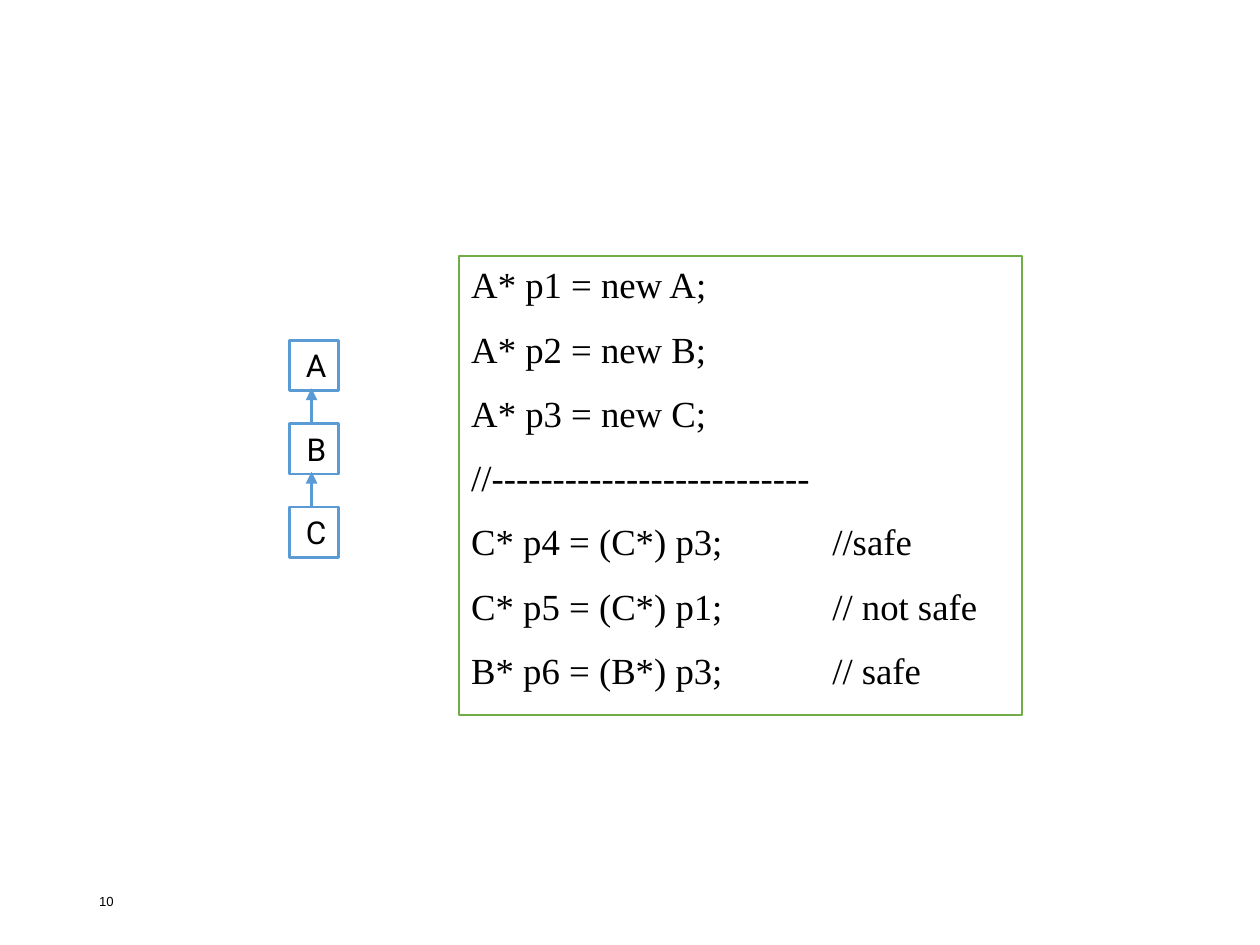
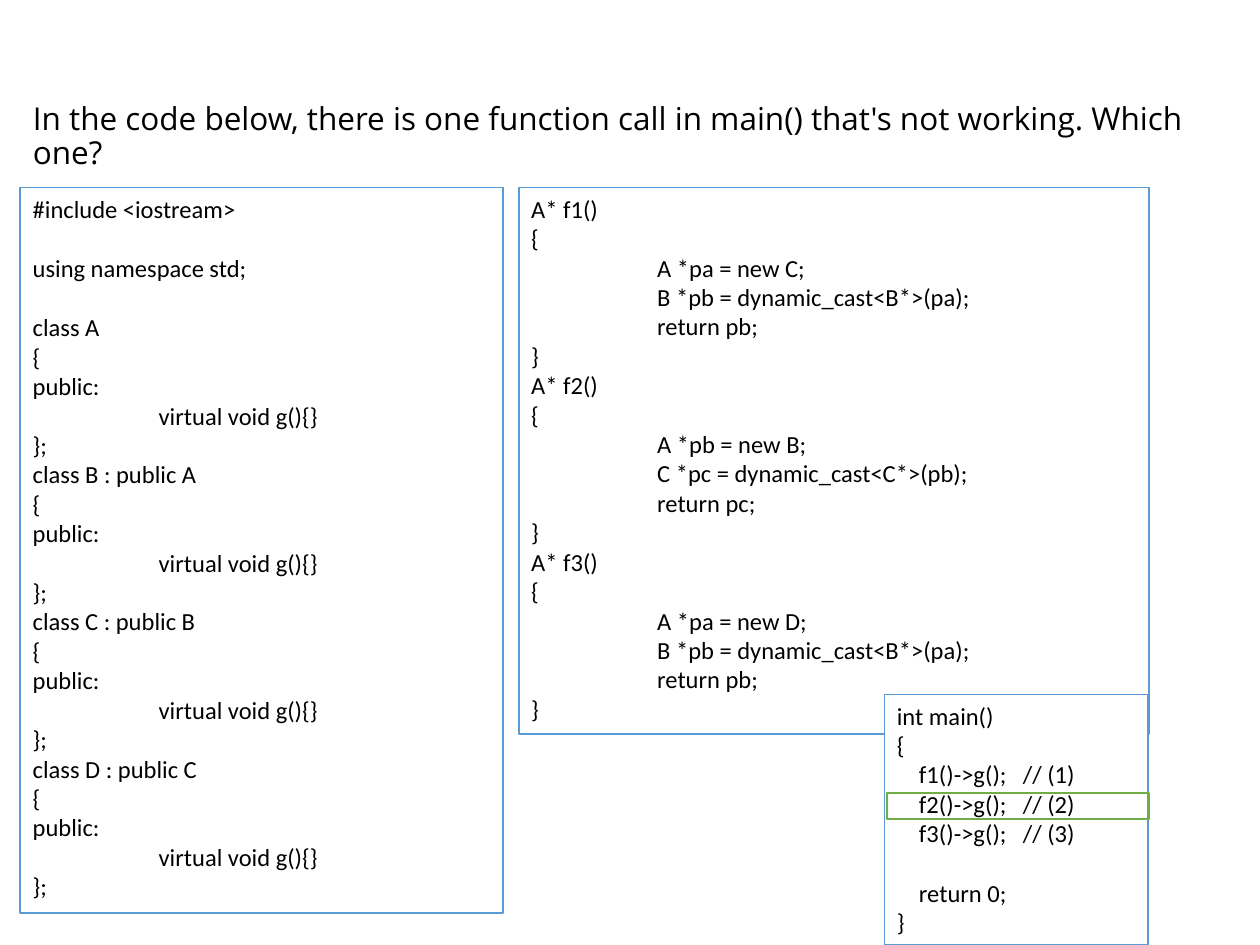
from dataclasses import dataclass

from lxml.etree import SubElement
from pptx import Presentation
from pptx.dml.color import RGBColor as RGB
from pptx.enum.shapes import MSO_CONNECTOR as CONN, MSO_SHAPE as SHAPE
from pptx.enum.text import MSO_ANCHOR as ANCHOR, MSO_AUTO_SIZE as AUTO, PP_ALIGN as ALIGN
from pptx.oxml.ns import qn
from pptx.util import Cm, Pt


@dataclass(frozen=True)
class Style:
    """Font name, size and spacing in points for one kind of text."""
    font: str
    size: float
    gap: float = 0
    tab: float = 2.54


@dataclass(frozen=True)
class Theme:
    """Colours and type styles shared by the slides."""
    ink: RGB = RGB(0, 0, 0)
    paper: RGB = RGB(255, 255, 255)
    blue: RGB = RGB(0x5B, 0x9B, 0xD5)
    green: RGB = RGB(0x70, 0xAD, 0x47)
    title: Style = Style("Open Sans", 18)
    code: Style = Style("Calibri", 14)
    casts: Style = Style("Times New Roman", 21, 11.5, 7.28)
    node: Style = Style("Roboto", 18)
    number: Style = Style("Arial", 7.5)
    blank_line: float = 17.1


T = Theme()

CASTS = """A* p1 = new A;
A* p2 = new B;
A* p3 = new C;
//--------------------------
C* p4 = (C*) p3;\t//safe
C* p5 = (C*) p1;\t// not safe
B* p6 = (B*) p3;\t// safe"""

MAIN_CODE = """int main()
{
    f1()->g();\t// (1)
    f2()->g();\t// (2)
    f3()->g();\t// (3)

    return 0;
}"""


def class_code(name, base):
    """Return the source of one class, derived when a base is given."""
    head = f"class {name} : public {base}" if base else f"class {name}"
    return f"{head}\n{{\npublic:\n\tvirtual void g(){{}}\n}};"


def cast_code(func, source, made, target, wanted):
    """Return the source of one function that casts a new object."""
    return (f"A* {func}()\n{{\n\tA *{source} = new {made};\n"
            f"\t{wanted} *{target} = dynamic_cast<{wanted}*>({source});\n"
            f"\treturn {target};\n}}")


def add_tab(p, pos):
    """Give a paragraph one left tab stop."""
    tabs = SubElement(p._p.get_or_add_pPr(), qn("a:tabLst"))
    SubElement(tabs, qn("a:tab"), pos=str(Cm(pos)), algn="l")


def write(tf, text, style, align=ALIGN.LEFT, anchor=ANCHOR.TOP):
    """Write one paragraph a line, turning blank lines into space before."""
    tf.word_wrap = True
    tf.auto_size = AUTO.NONE
    tf.vertical_anchor = anchor
    p, gap = tf.paragraphs[0], 0
    for i, line in enumerate(text.split("\n")):
        if not line:
            gap += T.blank_line
            continue
        if i:
            p = tf.add_paragraph()
        if "\t" in line:
            add_tab(p, style.tab)
        p.alignment = align
        p.space_before = Pt(gap)
        r = p.add_run()
        r.text = line
        r.font.name, r.font.size = style.font, Pt(style.size)
        r.font.color.rgb = T.ink
        gap = style.gap


def add_box(s, box, color, width=1, fill=True):
    """Add an outlined rectangle, white or hollow."""
    sp = s.shapes.add_shape(SHAPE.RECTANGLE, *map(Cm, box))
    sp.shadow.inherit = False
    if fill:
        sp.fill.solid()
        sp.fill.fore_color.rgb = T.paper
    else:
        sp.fill.background()
    sp.line.color.rgb, sp.line.width = color, Pt(width)
    return sp


def add_code(s, box, text, style=T.code, color=T.blue):
    """Add a framed block of code."""
    write(add_box(s, box, color).text_frame, text, style)


def add_arrow(s, x, start, end):
    """Add a vertical inheritance arrow."""
    c = s.shapes.add_connector(CONN.STRAIGHT, Cm(x), Cm(start), Cm(x), Cm(end))
    c.line.color.rgb, c.line.width = T.blue, Pt(2.25)
    SubElement(c.line._get_or_add_ln(), qn("a:tailEnd"), type="triangle")
    SubElement(c._element.spPr, qn("a:effectLst"))


def add_hierarchy(s, names, left, top, pitch):
    """Stack class boxes, each pointing up at its base."""
    width, height = 0.99, 1.02
    for i, name in enumerate(names):
        y = top + i * pitch
        if i:
            add_arrow(s, left + 0.44, y, y - pitch + height - 0.05)
        sp = add_box(s, (left, y, width, height), T.blue, 1.5)
        write(sp.text_frame, name, T.node, ALIGN.RIGHT)


def add_number(s, text):
    """Add the slide number."""
    sp = s.shapes.add_textbox(Cm(1.75), Cm(17.65), Cm(5.72), Cm(1.02))
    write(sp.text_frame, text, T.number, anchor=ANCHOR.MIDDLE)


def set_title(s, text):
    """Place and fill the title placeholder."""
    sp = s.shapes.title
    sp.left, sp.top, sp.width, sp.height = map(Cm, (0.41, 1.96, 24.33, 1.78))
    write(sp.text_frame, text, T.title)
    sp.text_frame.paragraphs[0].line_spacing = 0.9


def casts_slide(prs):
    """Build the slide on safe and unsafe casts."""
    s = prs.slides.add_slide(prs.slide_layouts[6])
    add_number(s, "10")
    add_code(s, (9.25, 5.16, 11.35, 9.25), CASTS, T.casts, T.green)
    add_hierarchy(s, "ABC", 5.84, 6.86, 1.68)


def question_slide(prs):
    """Build the slide asking which call fails."""
    s = prs.slides.add_slide(prs.slide_layouts[5])
    set_title(s, "In the code below, there is one function call in main() "
                 "that's not working. Which one?")
    classes = "\n".join(class_code(n, b) for n, b in zip("ABCD", ("", *"ABC")))
    casts = "\n".join(cast_code(*args) for args in (
        ("f1", "pa", "C", "pb", "B"),
        ("f2", "pb", "B", "pc", "C"),
        ("f3", "pa", "D", "pb", "B")))
    header = "#include <iostream>\n\nusing namespace std;\n\n"
    add_code(s, (0.41, 3.78, 9.73, 14.63), header + classes)
    add_code(s, (10.46, 3.78, 12.7, 11.02), casts)
    add_code(s, (17.83, 14, 5.31, 5.05), MAIN_CODE)
    add_box(s, (17.88, 15.98, 5.28, 0.53), T.green, fill=False)


def main():
    """Build and save the presentation."""
    prs = Presentation()
    prs.slide_width, prs.slide_height = Cm(25.4), Cm(19.05)
    casts_slide(prs)
    question_slide(prs)
    prs.save("out.pptx")


if __name__ == "__main__":
    main()
